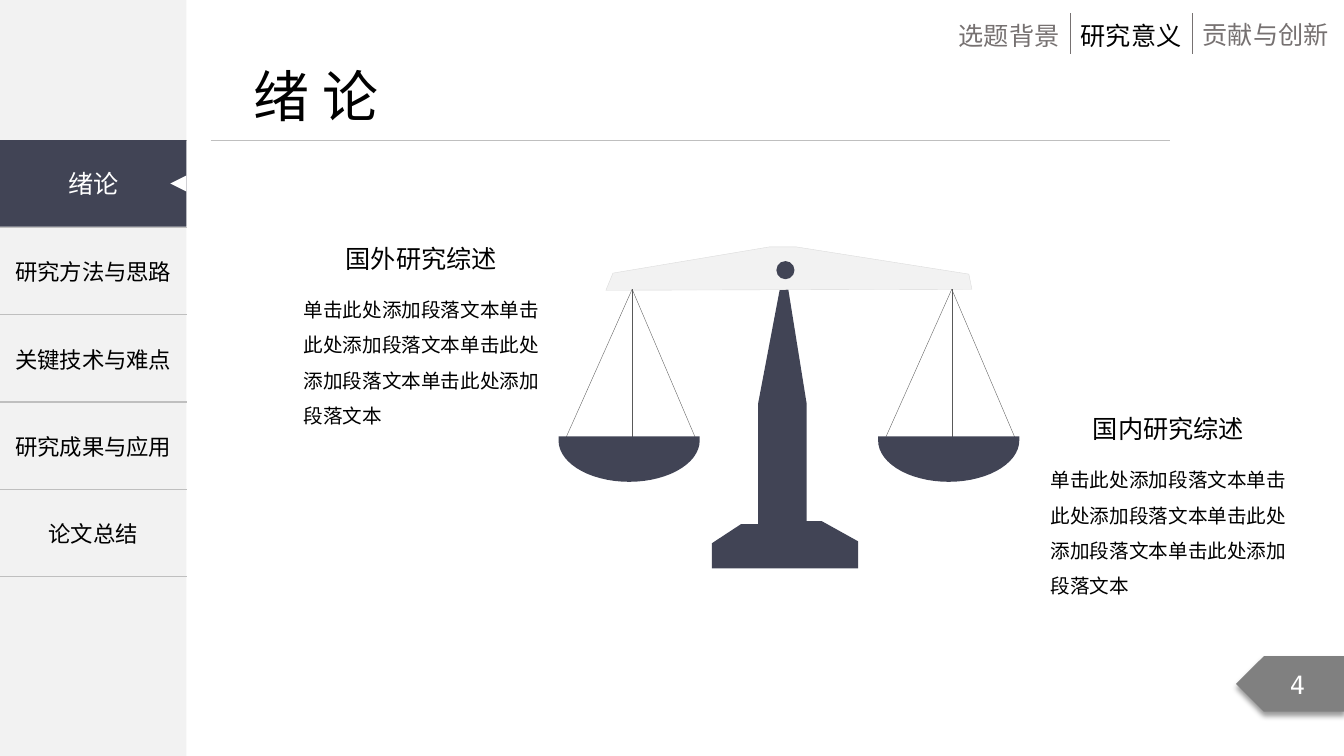
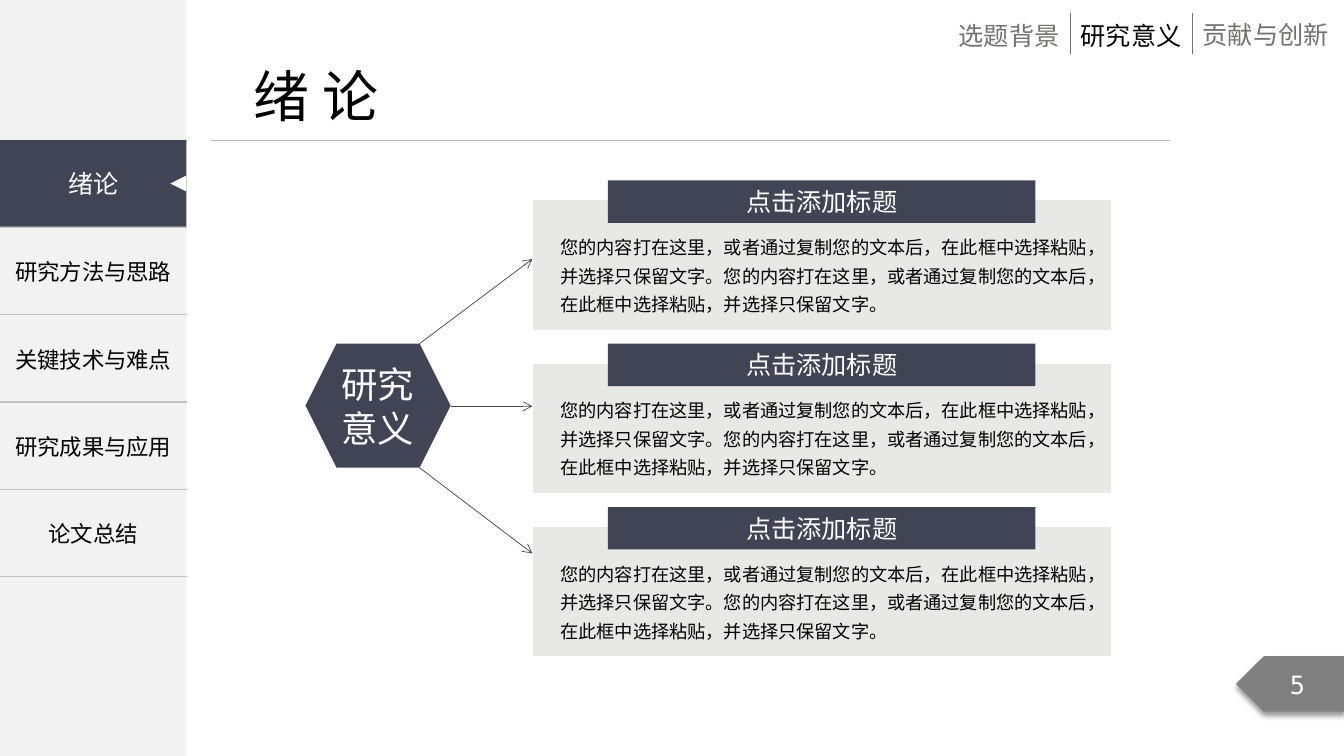
import math

from lxml import etree
from pptx import Presentation
from pptx.dml.color import RGBColor
from pptx.enum.lang import MSO_LANGUAGE_ID
from pptx.enum.shapes import MSO_CONNECTOR, MSO_SHAPE
from pptx.enum.text import MSO_ANCHOR, MSO_AUTO_SIZE, PP_ALIGN
from pptx.oxml.ns import qn
from pptx.util import Inches, Pt

NAVY = RGBColor(0x41, 0x44, 0x55)
WHITE = RGBColor(0xFF, 0xFF, 0xFF)
BLACK = RGBColor(0x00, 0x00, 0x00)
PALE = RGBColor(0xF2, 0xF2, 0xF2)
PANEL = RGBColor(0xE8, 0xE8, 0xE6)
EDGE = RGBColor(0xD9, 0xD9, 0xD9)
RULE = RGBColor(0xBF, 0xBF, 0xBF)
GRAY = RGBColor(0x80, 0x80, 0x80)
MUTED = RGBColor(0x76, 0x71, 0x71)
STRING = RGBColor(0x59, 0x59, 0x59)

TEXT_FONT = "Noto Sans CJK SC"
NUMBER_FONT = "DejaVu Sans Mono"
CENTER = PP_ALIGN.CENTER
MIDDLE = MSO_ANCHOR.MIDDLE
FIT = MSO_AUTO_SIZE.SHAPE_TO_FIT_TEXT
CHINESE = MSO_LANGUAGE_ID.SIMPLIFIED_CHINESE
STRAIGHT = MSO_CONNECTOR.STRAIGHT
RECTANGLE = MSO_SHAPE.RECTANGLE
OVAL = MSO_SHAPE.OVAL
TRIANGLE = MSO_SHAPE.ISOSCELES_TRIANGLE
HEXAGON = MSO_SHAPE.HEXAGON
PENTAGON = MSO_SHAPE.PENTAGON

SIDEBAR_WIDTH = 1.85
MENU_TOP = 1.39
MENU_HEIGHT = 4.33
MENU = ["", "研究方法与思路", "关键技术与难点", "研究成果与应用", "论文总结"]
TABS = [
    ("选题背景", 9.41, 0.15, 1.21, MUTED),
    ("研究意义", 10.62, 0.15, 1.21, BLACK),
    ("贡献与创新", 11.83, 0.14, 1.46, MUTED),
]
REVIEW_TEXT = "单击此处添加段落文本" * 4
CARD_TEXT = "您的内容打在这里，或者通过复制您的文本后，在此框中选择粘贴，并选择只保留文字。" * 2
CARD_PITCH = 1.62
CARD_INSETS = (0.08, 0.04)
BASE_POINTS = [
    (7.78, 2.63), (8, 4), (8, 5.17), (8.15, 5.17), (8.51, 5.37), (8.51, 5.64),
    (7.06, 5.64), (7.06, 5.39), (7.35, 5.2), (7.52, 5.2), (7.52, 4),
]
BEAM_POINTS = [
    (6.01, 2.88), (9.64, 2.87), (9.61, 2.72), (7.9, 2.45), (7.63, 2.45), (6.08, 2.71),
]


def apply(target, values):
    for name, value in values.items():
        setattr(target, name, value)


def write(frame, text, size, color, align=None, spacing=None, font=TEXT_FONT):
    para = frame.paragraphs[0]
    apply(para, {"alignment": align, "line_spacing": spacing})
    span = para.add_run()
    span.text = text
    apply(span.font, {"size": Pt(size), "name": font, "language_id": CHINESE})
    span.font.color.rgb = color
    properties = span.font._element
    east_asian = etree.Element(qn("a:ea"), typeface=font)
    properties.find(qn("a:latin")).addnext(east_asian)


def set_insets(frame, insets):
    side, end = (Inches(value) for value in insets)
    apply(frame, {"margin_left": side, "margin_right": side,
                  "margin_top": end, "margin_bottom": end})


def paint(shape, fill, line=None, weight=1):
    shape.shadow.inherit = False
    shape.fill.solid()
    shape.fill.fore_color.rgb = fill
    if line is None:
        shape.line.fill.background()
    else:
        shape.line.color.rgb = line
        shape.line.width = Pt(weight)


def add_block(shapes, kind, area, fill, line=None):
    shape = shapes.add_shape(kind, *map(Inches, area))
    paint(shape, fill, line)
    return shape


def add_label(shape, text, size, insets=(0.1, 0.05), font=TEXT_FONT):
    """Centre white text inside a shape."""
    frame = shape.text_frame
    apply(frame, {"word_wrap": True, "vertical_anchor": MIDDLE})
    set_insets(frame, insets)
    write(frame, text, size, WHITE, CENTER, font=font)


def add_text(shapes, area, text, size, color=BLACK, wrap=True, insets=(0.1, 0.05), **style):
    box = shapes.add_textbox(*map(Inches, area))
    apply(box.text_frame, {"word_wrap": wrap, "auto_size": FIT})
    set_insets(box.text_frame, insets)
    write(box.text_frame, text, size, color, **style)


def add_line(shapes, start, end, color, weight, arrow=False):
    line = shapes.add_connector(STRAIGHT, *map(Inches, (*start, *end)))
    line.line.color.rgb = color
    line.line.width = Pt(weight)
    etree.SubElement(line._element.spPr, qn("a:effectLst"))
    if arrow:
        etree.SubElement(line.line._get_or_add_ln(), qn("a:tailEnd"), type="arrow")


def add_outline(shapes, points, fill, line=None, weight=1):
    corners = [(Inches(x), Inches(y)) for x, y in points]
    builder = shapes.build_freeform(*corners[0])
    builder.add_line_segments(corners[1:], close=True)
    paint(builder.convert_to_shape(), fill, line, weight)


def set_borders(cell):
    """Rule above and below the cell, nothing at its sides."""
    properties = cell._tc.get_or_add_tcPr()
    for tag in ("a:lnL", "a:lnR"):
        border = etree.SubElement(properties, qn(tag), w="0")
        etree.SubElement(border, qn("a:noFill"))
    for tag in ("a:lnT", "a:lnB"):
        border = etree.SubElement(properties, qn(tag), w=str(Pt(1)))
        solid = etree.SubElement(border, qn("a:solidFill"))
        etree.SubElement(solid, qn("a:srgbClr"), val=str(RULE))


def add_menu(shapes):
    area = (0, MENU_TOP, SIDEBAR_WIDTH, MENU_HEIGHT)
    table = shapes.add_table(len(MENU), 1, *map(Inches, area)).table
    apply(table, {"first_row": False, "horz_banding": False})
    for row, text in zip(table.rows, MENU):
        cell = row.cells[0]
        set_borders(cell)
        cell.fill.background()
        cell.vertical_anchor = MIDDLE
        if text:
            write(cell.text_frame, text, 16, BLACK, CENTER)
    group = shapes.add_group_shape().shapes
    active = add_block(group, RECTANGLE, (0, MENU_TOP, SIDEBAR_WIDTH, 0.86), NAVY)
    add_label(active, "绪论", 18)
    pointer = add_block(group, TRIANGLE, (1.69, 1.74, 0.16, 0.16), WHITE)
    pointer.rotation = 270


def add_page_number(shapes, number):
    badge = add_block(shapes, PENTAGON, (12.26, 6.51, 1.08, 0.55), GRAY)
    properties = badge._element.spPr
    properties.find(qn("a:xfrm")).set("flipH", "1")
    shadow = etree.SubElement(
        properties.find(qn("a:effectLst")), qn("a:outerShdw"),
        blurRad=str(Pt(4)), dist=str(Pt(3)), dir="5400000", algn="t", rotWithShape="0")
    tint = etree.SubElement(shadow, qn("a:srgbClr"), val=str(BLACK))
    etree.SubElement(tint, qn("a:alpha"), val="40000")
    add_label(badge, str(number), 18, font=NUMBER_FONT)


def add_page(deck, number):
    """Add a slide with the frame that all slides share."""
    shapes = deck.slides.add_slide(deck.slide_layouts[6]).shapes
    add_block(shapes, RECTANGLE, (0, 0, SIDEBAR_WIDTH, 7.5), PALE)
    add_line(shapes, (2.09, MENU_TOP), (11.6, MENU_TOP), RULE, 0.5)
    add_text(shapes, (2.42, 0.56, 1.6, 0.77), "绪 论", 40, wrap=False)
    add_page_number(shapes, number)
    for text, left, top, width, color in TABS:
        add_text(shapes, (left, top, width, 0.4), text, 18, color, wrap=False)
    for _, left, *_ in TABS[1:]:
        add_line(shapes, (left, 0.13), (left, 0.54), MUTED, 0.5)
    add_menu(shapes)
    return shapes


def add_pan(shapes, knot):
    """Hang a bowl by three strings from a knot on the beam."""
    group = shapes.add_group_shape().shapes
    for shift in (0.63, 0, -0.66):
        add_line(group, (knot, 2.87), (knot + shift, 4.35), STRING, 0.25)
    center, radius, depth, rim = knot - 0.03, 0.7, 0.41, 4.33
    angles = [math.radians(degrees) for degrees in range(180, -1, -6)]
    bowl = [(center + radius * math.cos(angle), 4.37 + depth * math.sin(angle))
            for angle in angles]
    add_outline(group, [(center - radius, rim), *bowl, (center + radius, rim)], NAVY)


def add_review(shapes, left, top, heading):
    insets = (0.09, 0.05)
    add_text(shapes, (left + 0.23, top, 2.06, 0.39), heading, 18,
             insets=insets, align=CENTER)
    add_text(shapes, (left, top + 0.43, 2.56, 1.46), REVIEW_TEXT, 14,
             insets=insets, spacing=1.5)


def add_card(shapes, top):
    add_block(shapes, RECTANGLE, (5.28, top + 0.19, 5.75, 1.3), PANEL, WHITE)
    banner = add_block(shapes, RECTANGLE, (6.03, top, 4.24, 0.42), NAVY)
    add_label(banner, "点击添加标题", 18, CARD_INSETS)
    add_text(shapes, (5.48, top + 0.45, 5.47, 0.95), CARD_TEXT, 13,
             insets=CARD_INSETS, spacing=1.3)


def build_scales(deck):
    shapes = add_page(deck, 4)
    add_outline(shapes, BASE_POINTS, NAVY)
    add_outline(shapes, BEAM_POINTS, PALE, EDGE, 0.25)
    add_block(shapes, OVAL, (7.7, 2.59, 0.18, 0.18), NAVY)
    for knot in (9.44, 6.27):
        add_pan(shapes, knot)
    add_review(shapes, 10.33, 4.05, "国内研究综述")
    add_review(shapes, 2.92, 2.36, "国外研究综述")


def build_meaning(deck):
    shapes = add_page(deck, 5)
    for index in range(3):
        add_card(shapes, 1.79 + index * CARD_PITCH)
    hexagon = add_block(shapes, HEXAGON, (3.03, 3.41, 1.44, 1.23), NAVY)
    add_label(hexagon, "研究意义", 26, CARD_INSETS)
    for start, end_top in (((4.16, 3.41), 2.57), ((4.47, 4.03), 4.03), ((4.16, 4.64), 5.49)):
        add_line(shapes, start, (5.28, end_top), NAVY, 0.5, arrow=True)


def main():
    deck = Presentation()
    apply(deck, {"slide_width": Inches(13.33), "slide_height": Inches(7.5)})
    build_scales(deck)
    build_meaning(deck)
    deck.save("out.pptx")


if __name__ == "__main__":
    main()
